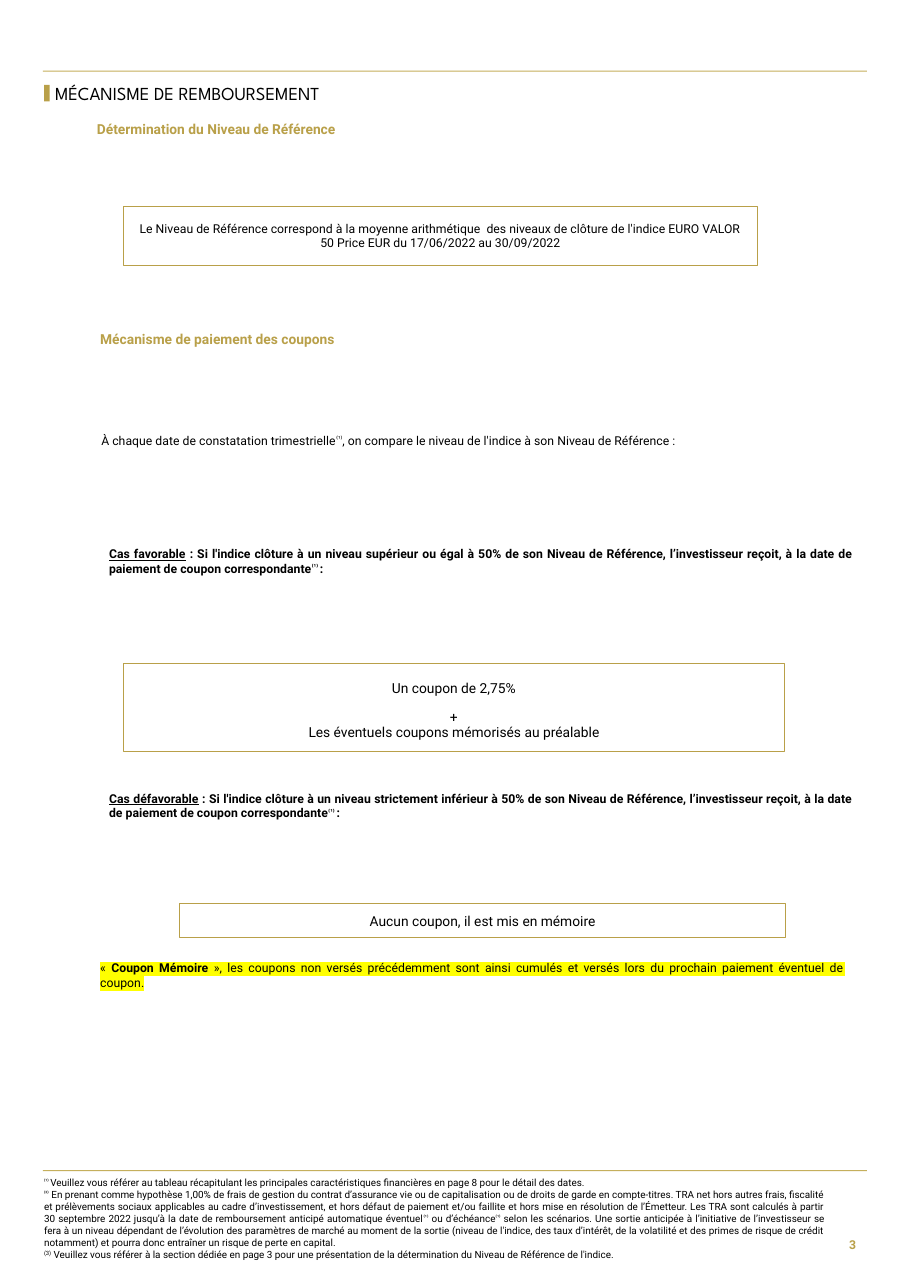
from dataclasses import dataclass

from lxml import etree
from pptx import Presentation
from pptx.dml.color import RGBColor
from pptx.enum.shapes import MSO_SHAPE
from pptx.enum.text import MSO_ANCHOR, MSO_AUTO_SIZE, PP_ALIGN
from pptx.oxml.ns import qn
from pptx.util import Inches, Pt


@dataclass(frozen=True)
class Theme:
    gold: RGBColor = RGBColor(0xB9, 0xA0, 0x49)
    rule: RGBColor = RGBColor(0xC5, 0xAF, 0x5C)
    black: RGBColor = RGBColor(0, 0, 0)
    white: RGBColor = RGBColor(255, 255, 255)
    highlight: str = "FFFF00"
    title_font: str = "League Spartan"
    body_font: str = "Roboto"
    title: float = 12
    heading: float = 9
    body: float = 8
    note: float = 6.5


THEME = Theme()

# A paragraph is a list of (text, style) runs; styles: sup, bold, underline, mark
TITLE = [[("MÉCANISME DE REMBOURSEMENT", "")]]
PAGE_NUMBER = [[("3", "bold")]]
RULE_TOPS = [0.64, 10.62]

# (left, top, width, height), paragraphs
HEADINGS = [
    ((0.88, 1.1, 2.97, 0.18), [[("Détermination du Niveau de Référence", "bold")]]),
    ((0.91, 3, 6.57, 0.17), [[("Mécanisme de paiement des coupons", "bold")]]),
]


def coupon_case(name, condition):
    return [[
        (name, "bold underline"),
        (f" : Si l'indice clôture à un niveau {condition} à 50% de son Niveau de Référence, "
         "l’investisseur reçoit, à la date de paiement de coupon correspondante", "bold"),
        ("⁽¹⁾ ", "bold sup"),
        (": ", "bold"),
    ]]


BODY_TEXTS = [
    ((0.92, 3.93, 6.57, 0.13), [[
        ("À chaque date de constatation trimestrielle", ""),
        ("⁽¹⁾", "sup"),
        (", on compare le niveau de l'indice à son Niveau de Référence :", ""),
    ]]),
    ((0.99, 4.96, 6.76, 0.27), coupon_case("Cas favorable", "supérieur ou égal")),
    ((0.99, 7.18, 6.76, 0.27), coupon_case("Cas défavorable", "strictement inférieur")),
    ((0.91, 8.72, 6.76, 0.27), [[
        ("« ", "mark"),
        ("Coupon Mémoire ", "bold mark"),
        ("», les coupons non versés précédemment sont ainsi cumulés et versés lors du "
         "prochain paiement éventuel de coupon.", "mark"),
    ]]),
]

# (left, top, width, height), (top inset, bottom inset), size, line width, line spacing, paragraphs
FRAMES = [
    ((1.12, 1.87, 5.76, 0.54), (0.2, 0.2), THEME.body, 0.5, 1, [
        [("Le Niveau de Référence correspond à la moyenne arithmétique  des niveaux de "
          "clôture de l'indice EURO VALOR 50 Price EUR du 17/06/2022 au 30/09/2022", "")],
    ]),
    ((1.12, 6.02, 6, 0.8), (0.15, 0.08), THEME.heading, 0.75, 0.9, [
        [("Un coupon de 2,75%", "")],
        [("+", "")],
        [("Les éventuels coupons mémorisés au préalable", "")],
    ]),
    ((1.63, 8.2, 5.5, 0.31), (0.08, 0.08), THEME.heading, 0.75, 1, [
        [("Aucun coupon, il est mis en mémoire", "")],
    ]),
]

FOOTNOTES = [
    [("⁽¹⁾ ", "sup"),
     ("Veuillez vous référer au tableau récapitulant les principales caractéristiques "
      "financières en page 8 pour le détail des dates. ", "")],
    [("⁽²⁾", "sup"),
     (" En prenant comme hypothèse 1,00% de frais de gestion du contrat d’assurance vie ou de "
      "capitalisation ou de droits de garde en compte-titres. TRA net hors autres frais, "
      "fiscalité et prélèvements sociaux applicables au cadre d’investissement, et hors défaut "
      "de paiement et/ou faillite et hors mise en résolution de l’Émetteur. Les TRA sont "
      "calculés à partir 30 septembre 2022 jusqu’à la date de remboursement anticipé "
      "automatique éventuel", ""),
     ("⁽¹⁾", "sup"),
     (" ou d’échéance", ""),
     ("⁽¹⁾", "sup"),
     (" selon les scénarios. Une sortie anticipée à l’initiative de l’investisseur se fera à un "
      "niveau dépendant de l’évolution des paramètres de marché au moment de la sortie (niveau "
      "de l'indice, des taux d’intérêt, de la volatilité et des primes de risque de crédit "
      "notamment) et pourra donc entraîner un risque de perte en capital.", "")],
    [("(3)", "sup"),
     (" Veuillez vous référer à la section dédiée en page 3 pour une présentation de la "
      "détermination du Niveau de Référence de l'indice.", "")],
]


def style_run(run, style, size, color, font_name):
    font = run.font
    font.size, font.name = Pt(size), font_name
    font.color.rgb = color
    font.bold = "bold" in style
    font.underline = "underline" in style
    properties = run._r.get_or_add_rPr()
    if "sup" in style:
        properties.set("baseline", "30000")
    if "mark" in style:
        mark = etree.Element(qn("a:highlight"))
        etree.SubElement(mark, qn("a:srgbClr"), val=THEME.highlight)
        properties.find(qn("a:solidFill")).addnext(mark)


def write(frame, paragraphs, size, color=THEME.black, align=PP_ALIGN.JUSTIFY, spacing=1,
          font_name=THEME.body_font, anchor=MSO_ANCHOR.TOP, insets=(0, 0, 0, 0)):
    """Fill a text frame; insets are left, top, right, bottom in inches."""
    frame.word_wrap = True
    frame.auto_size = MSO_AUTO_SIZE.NONE
    frame.vertical_anchor = anchor
    (frame.margin_left, frame.margin_top,
     frame.margin_right, frame.margin_bottom) = map(Inches, insets)
    for index, runs in enumerate(paragraphs):
        paragraph = frame.add_paragraph() if index else frame.paragraphs[0]
        paragraph.alignment = align
        paragraph.line_spacing = spacing
        for text, style in runs:
            run = paragraph.add_run()
            run.text = text
            style_run(run, style, size, color, font_name)


def add_text(slide, area, paragraphs, size, **options):
    box = slide.shapes.add_textbox(*map(Inches, area))
    write(box.text_frame, paragraphs, size, **options)


def add_rectangle(slide, area, fill):
    rectangle = slide.shapes.add_shape(MSO_SHAPE.RECTANGLE, *map(Inches, area))
    rectangle.shadow.inherit = False
    rectangle.fill.solid()
    rectangle.fill.fore_color.rgb = fill
    rectangle.line.fill.background()
    return rectangle


def main():
    deck = Presentation()
    deck.slide_width, deck.slide_height = Inches(8.27), Inches(11.69)
    slide = deck.slides.add_slide(deck.slide_layouts[5])

    for top in RULE_TOPS:
        add_rectangle(slide, (0.39, top, 7.48, 0.01), THEME.rule)
    add_rectangle(slide, (0.4, 0.77, 0.05, 0.15), THEME.gold)

    title = slide.shapes.title
    title.left, title.top, title.width, title.height = map(Inches, (0.5, 0.73, 4.21, 0.25))
    write(title.text_frame, TITLE, THEME.title, align=PP_ALIGN.LEFT, spacing=0.9,
          font_name=THEME.title_font, anchor=MSO_ANCHOR.MIDDLE)

    for area, heading in HEADINGS:
        add_text(slide, area, heading, THEME.heading, color=THEME.gold, align=PP_ALIGN.LEFT)
    for area, body in BODY_TEXTS:
        add_text(slide, area, body, THEME.body)

    for area, (above, below), size, line_width, spacing, outcome in FRAMES:
        frame = add_rectangle(slide, area, THEME.white)
        frame.line.color.rgb = THEME.gold
        frame.line.width = Pt(line_width)
        write(frame.text_frame, outcome, size, align=PP_ALIGN.CENTER, spacing=spacing,
              anchor=MSO_ANCHOR.MIDDLE, insets=(0.12, above, 0.12, below))
        for plus in frame.text_frame.paragraphs[1:2]:
            plus.space_before = Pt(9.5)

    add_text(slide, (0.4, 10.68, 7.09, 0.77), FOOTNOTES, THEME.note)
    add_text(slide, (7.48, 11.09, 0.39, 0.42), PAGE_NUMBER, THEME.body, color=THEME.gold,
             align=PP_ALIGN.RIGHT, anchor=MSO_ANCHOR.MIDDLE, insets=(0.1, 0.05, 0.1, 0.05))
    deck.save("out.pptx")


if __name__ == "__main__":
    main()
